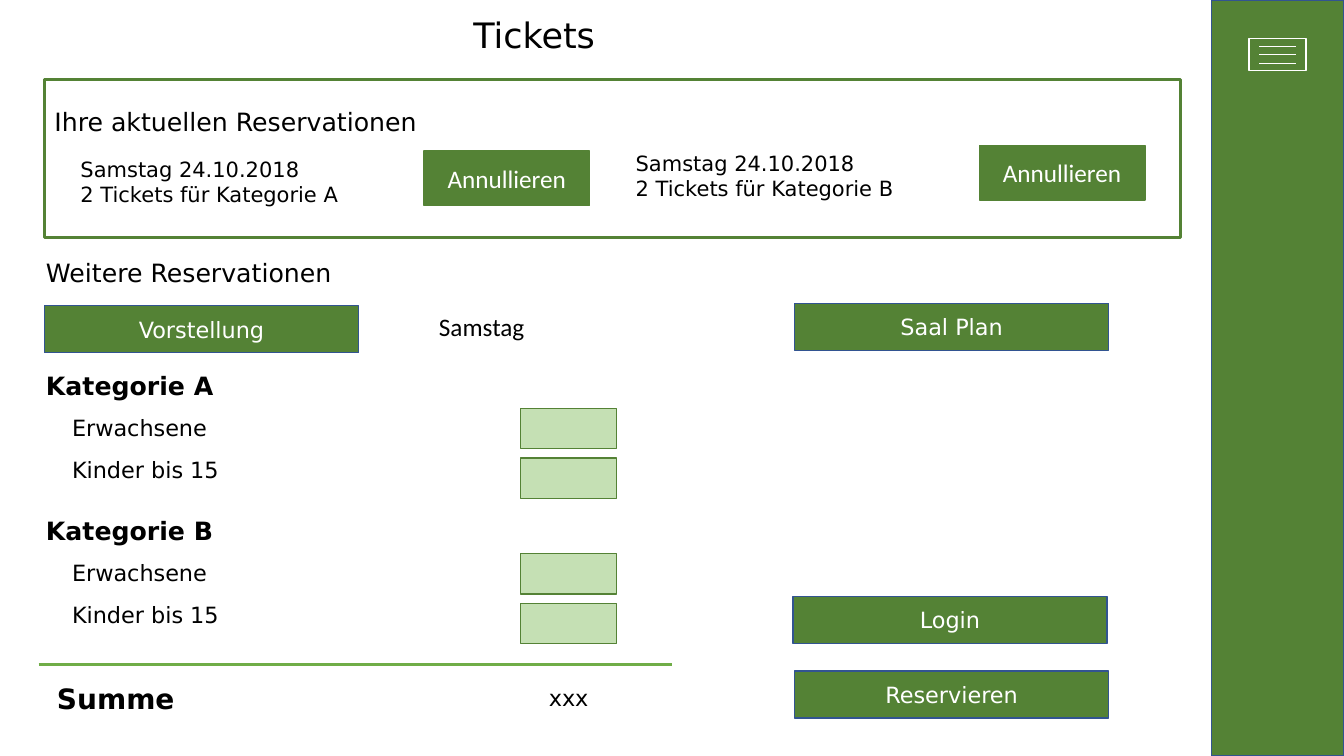
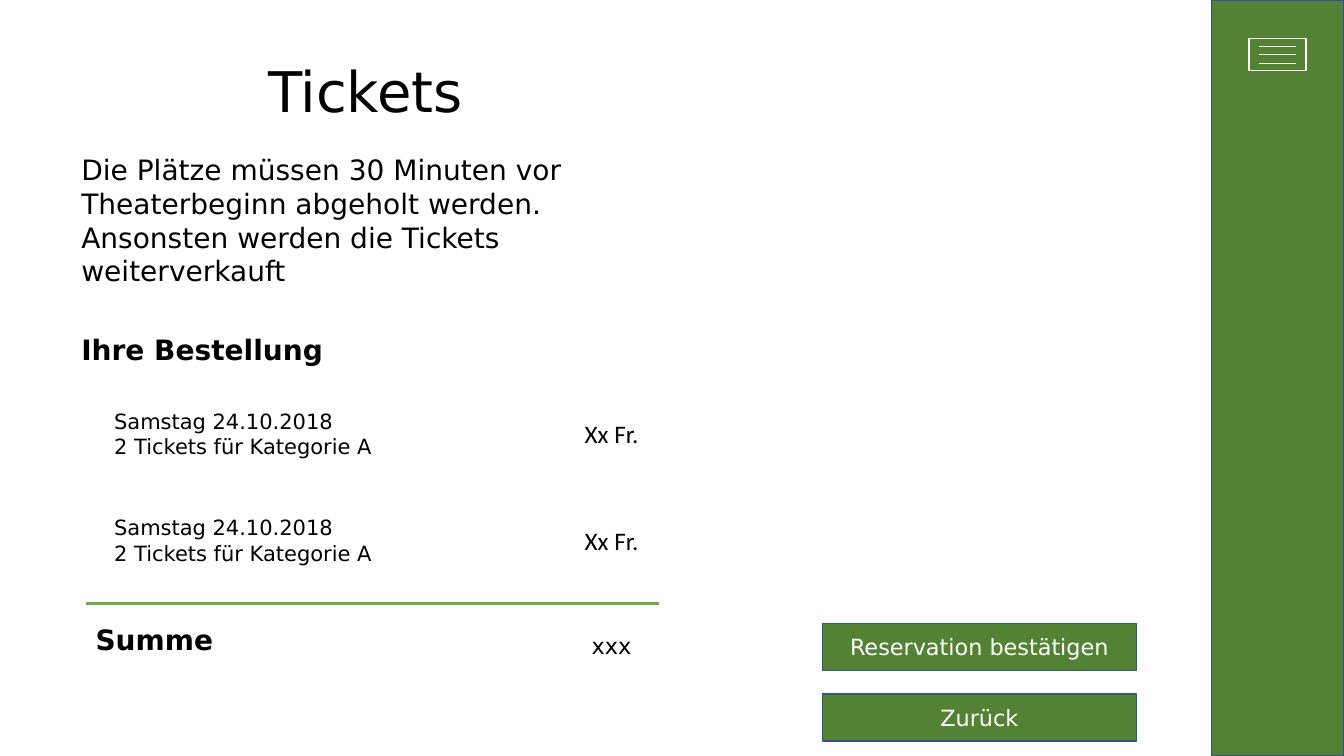
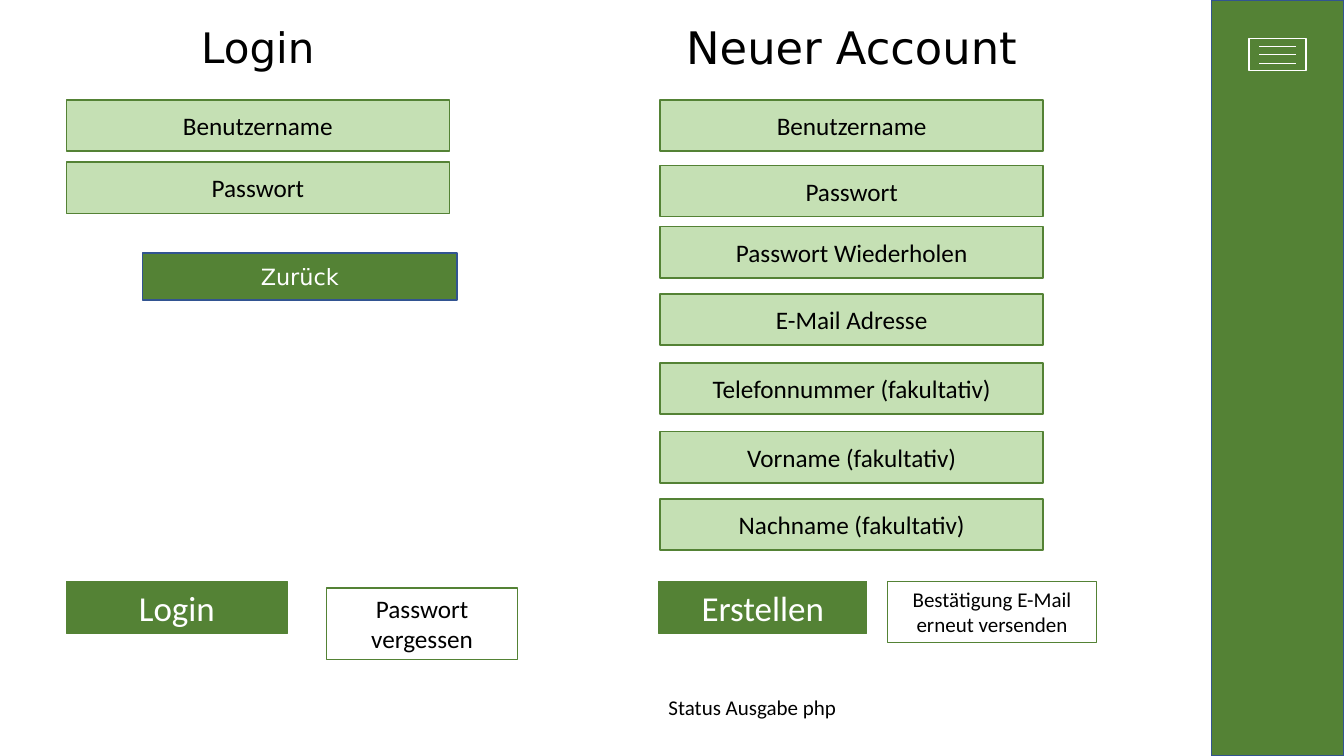
from dataclasses import dataclass, replace
from typing import Any, Optional

import lxml.etree
import pptx
import pptx.dml.color
import pptx.enum.shapes
import pptx.enum.text
import pptx.oxml.ns
import pptx.util

ALIGN = pptx.enum.text.PP_ALIGN
ANCHOR = pptx.enum.text.MSO_ANCHOR

# The slide is a grid of 160 columns by 90 rows with square cells.
COLS, ROWS = 160, 90
CELL = pptx.util.Inches(1) / 12

COLORS = {
    "dark": "548235",
    "light": "C5E0B4",
    "rule": "70AD47",
    "edge": "325491",
    "white": "FFFFFF",
    "black": "000000",
}
SANS, BODY = "DejaVu Sans", "Calibri"


@dataclass(frozen=True)
class Box:
    col: float
    row: float
    wide: float
    high: float


@dataclass(frozen=True)
class Type:
    size: float
    font: str = SANS
    color: str = "black"
    bold: bool = False
    align: Any = ALIGN.LEFT
    anchor: Any = ANCHOR.MIDDLE


@dataclass(frozen=True)
class Look:
    fill: Optional[str]
    line: str
    width: float = 1


BAND = Look("dark", "edge")
MENU = Look("dark", "white")
FRAME = Look(None, "dark", 2.25)
SOLID = Look("dark", "dark")
FIELD = Look("light", "dark")
ACTION = Look("dark", "dark", 0.75)
OUTLINE = Look("white", "dark", 0.75)

TITLE = Type(25, align=ALIGN.CENTER, anchor=ANCHOR.TOP)
HEAD = Type(18, anchor=ANCHOR.TOP)
GROUP = Type(18, bold=True)
TOTAL = Type(20, bold=True)
NOTE = Type(20, anchor=ANCHOR.TOP)
ORDER = Type(15, anchor=ANCHOR.TOP)
LABEL = Type(16)
VALUE = Type(16, align=ALIGN.CENTER)
BUTTON = replace(VALUE, color="white")
ENTRY = Type(18, BODY, align=ALIGN.CENTER)
CANCEL = replace(ENTRY, color="white")
SUBMIT = Type(25, BODY, "white", align=ALIGN.CENTER, anchor=ANCHOR.TOP)
EXTRA = replace(ENTRY, anchor=ANCHOR.TOP)


def cells(count: float) -> int:
    return pptx.util.Emu(round(count * CELL))


def place(box: Box) -> tuple:
    return cells(box.col), cells(box.row), cells(box.wide), cells(box.high)


def color(name: str) -> pptx.dml.color.RGBColor:
    return pptx.dml.color.RGBColor.from_string(COLORS[name])


def write(shape: Any, text: str, style: Type) -> None:
    frame = shape.text_frame
    frame.word_wrap = True
    frame.vertical_anchor = style.anchor
    frame.text = text
    for para in frame.paragraphs:
        para.alignment = style.align
        for run in para.runs:
            run.font.size = pptx.util.Pt(style.size)
            run.font.name = style.font
            run.font.bold = style.bold
            run.font.color.rgb = color(style.color)


def label(slide: Any, box: Box, text: str, style: Type) -> None:
    write(slide.shapes.add_textbox(*place(box)), text, style)


def panel(shapes: Any, box: Box, look: Look, text: str = "", style: Type = BUTTON) -> None:
    """Draw a rectangle, with text if there is any."""
    shape = shapes.add_shape(pptx.enum.shapes.MSO_SHAPE.RECTANGLE, *place(box))
    shape.shadow.inherit = False
    if look.fill:
        shape.fill.solid()
        shape.fill.fore_color.rgb = color(look.fill)
    else:
        shape.fill.background()
    shape.line.color.rgb = color(look.line)
    shape.line.width = pptx.util.Pt(look.width)
    if text:
        write(shape, text, style)


def rule(shapes: Any, left: float, right: float, row: float, name: str, width: float) -> None:
    """Draw a level line between two columns."""
    line = shapes.add_connector(
        pptx.enum.shapes.MSO_CONNECTOR.STRAIGHT,
        cells(left), cells(row), cells(right), cells(row))
    line.line.color.rgb = color(name)
    line.line.width = pptx.util.Pt(width)
    props = line._element.spPr
    lxml.etree.SubElement(props, pptx.oxml.ns.qn("a:effectLst"))


def button(slide: Any, col: float, row: float, text: str) -> None:
    panel(slide.shapes, Box(col, row, 37.4, 5.6), BAND, text)


def order(slide: Any, col: float, row: float, group: str) -> None:
    text = f"Samstag 24.10.2018\n2 Tickets für Kategorie {group}"
    label(slide, Box(col, row, 42.1, 7.3), text, ORDER)


def start(deck: Any) -> Any:
    """Add a slide with the side band and its menu icon."""
    slide = deck.slides.add_slide(deck.slide_layouts[6])
    panel(slide.shapes, Box(144.2, 0, COLS - 144.2, ROWS), BAND)
    menu = slide.shapes.add_group_shape().shapes
    panel(menu, Box(148.7, 4.6, 6.8, 3.8), MENU)
    for step in range(3):
        rule(menu, 149.9, 154.3, 5.5 + step, "white", 0.5)
    return slide


def tickets(deck: Any) -> None:
    slide = start(deck)
    label(slide, Box(7.3, 1, 112.6, 6.2), "Tickets", TITLE)
    panel(slide.shapes, Box(5.3, 9.5, 135.2, 18.8), FRAME)
    label(slide, Box(5.3, 12.1, 73.2, 4.8), "Ihre aktuellen Reservationen", HEAD)
    for col, row, group in ((8.4, 18, "A"), (74.5, 17.3, "B")):
        order(slide, col, row, group)
        panel(slide.shapes, Box(col + 42.1, row, 19.7, 6.5), SOLID, "Annullieren", CANCEL)

    label(slide, Box(4.3, 30.1, 73.2, 4.8), "Weitere Reservationen", HEAD)
    label(slide, Box(45.5, 36.1, 18.1, 5.6), "Samstag", replace(ENTRY, align=ALIGN.RIGHT))
    for col, row, text in (
        (5.3, 36.4, "Vorstellung"),
        (94.6, 36.1, "Saal Plan"),
        (94.4, 71, "Login"),
        (94.6, 79.9, "Reservieren"),
    ):
        button(slide, col, row, text)

    for group, top in (("A", 43.1), ("B", 60.4)):
        label(slide, Box(4.3, top, 37.4, 5.6), f"Kategorie {group}", GROUP)
        for step, guest in enumerate(("Erwachsene", "Kinder bis 15")):
            label(slide, Box(7.4, top + 5 + 5 * step, 28.1, 5.6), guest, LABEL)
            panel(slide.shapes, Box(62, top + 5.5 + 5.95 * step, 11.4, 4.8), FIELD)

    rule(slide.shapes, 4.6, 80, 79.1, "rule", 2)
    label(slide, Box(5.6, 80.5, 37.4, 5.2), "Summe", TOTAL)
    label(slide, Box(62, 80.5, 11.4, 5.2), "xxx", VALUE)


def confirm(deck: Any) -> None:
    slide = start(deck)
    label(slide, Box(8.5, 6.1, 70, 9.2), "Tickets", replace(TITLE, size=40))
    label(slide, Box(8.5, 17.6, 73.6, 17.4),
          "Die Plätze müssen 30 Minuten vor Theaterbeginn abgeholt werden. "
          "Ansonsten werden die Tickets weiterverkauft", NOTE)
    label(slide, Box(8.5, 37.3, 37.4, 8.5), "Ihre Bestellung", TOTAL)
    for row in (48, 60.7):
        order(slide, 12.4, row, "A")
        label(slide, Box(67.1, row, 11.4, 7.3), "Xx Fr.", ENTRY)
    rule(slide.shapes, 10.2, 78.4, 71.8, "rule", 2)
    label(slide, Box(10.2, 72.8, 37.4, 6.7), "Summe", TOTAL)
    label(slide, Box(67.1, 74.2, 11.4, 5.4), "xxx", VALUE)
    button(slide, 97.9, 74.2, "Reservation bestätigen")
    button(slide, 97.9, 82.6, "Zurück")


def account(deck: Any) -> None:
    slide = start(deck)
    left, right = 7.9, 78.6
    label(slide, Box(left, 2, 45.6, 7.3), "Login", replace(TITLE, size=30))
    label(slide, Box(right, 1.8, 45.6, 7.7), "Neuer Account", replace(TITLE, size=32))
    for col, row, text in (
        (left, 11.9, "Benutzername"),
        (left, 19.3, "Passwort"),
        (right, 11.9, "Benutzername"),
        (right, 19.7, "Passwort"),
        (right, 27, "Passwort Wiederholen"),
        (right, 35, "E-Mail Adresse"),
        (right, 43.2, "Telefonnummer (fakultativ)"),
        (right, 51.4, "Vorname (fakultativ)"),
        (right, 59.4, "Nachname (fakultativ)"),
    ):
        panel(slide.shapes, Box(col, row, 45.6, 6.1), FIELD, text, ENTRY)
    button(slide, 17, 30.1, "Zurück")
    for box, look, text, style in (
        (Box(left, 69.2, 26.3, 6.2), ACTION, "Login", SUBMIT),
        (Box(38.9, 70, 22.7, 8.5), OUTLINE, "Passwort vergessen", EXTRA),
        (Box(78.4, 69.2, 24.8, 6.2), ACTION, "Erstellen", SUBMIT),
        (Box(105.7, 69.2, 24.8, 7.3), OUTLINE,
         "Bestätigung E-Mail erneut versenden", replace(EXTRA, size=15)),
    ):
        panel(slide.shapes, box, look, text, style)
    label(slide, Box(78.4, 82.3, 58.2, 3.8), "Status Ausgabe php", Type(15, BODY))


def main() -> None:
    deck = pptx.Presentation()
    deck.slide_width, deck.slide_height = cells(COLS), cells(ROWS)
    for build in (tickets, confirm, account):
        build(deck)
    deck.save("out.pptx")


if __name__ == "__main__":
    main()
